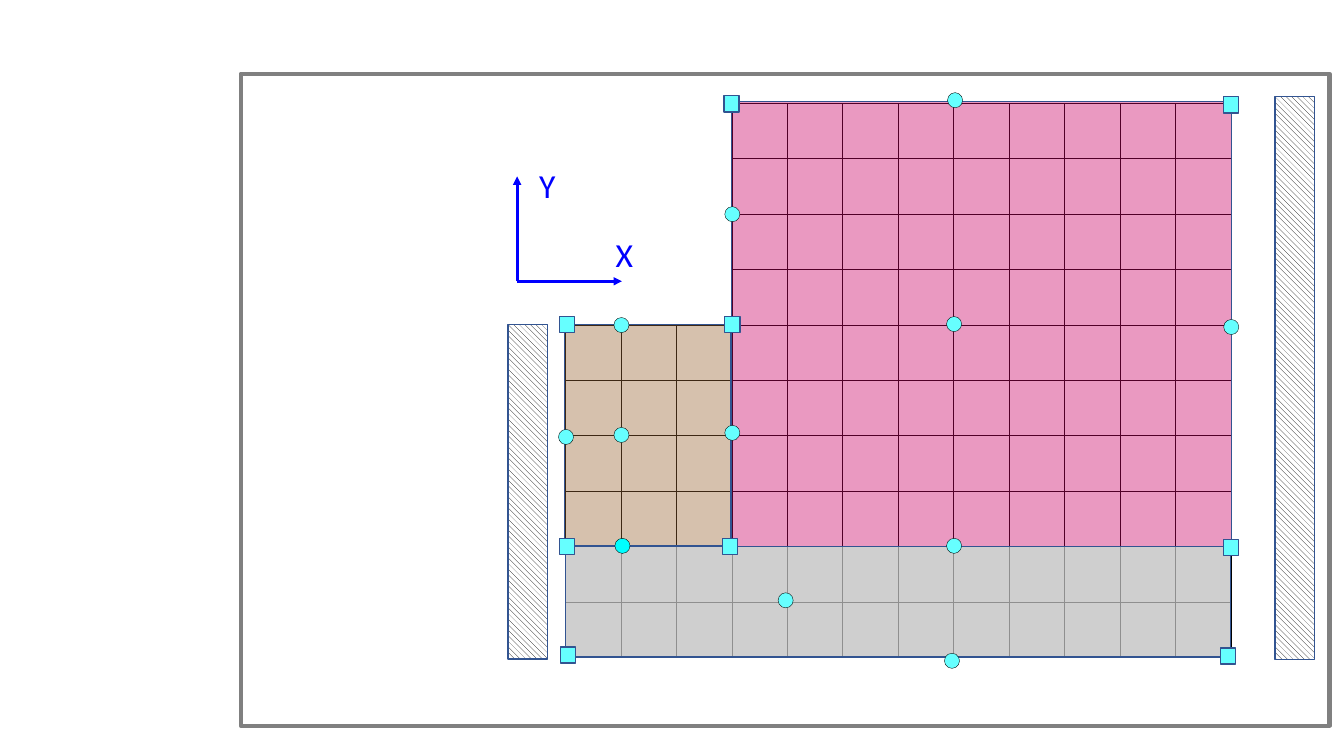
from lxml import etree
from pptx import Presentation
from pptx.dml.color import RGBColor
from pptx.enum.dml import MSO_PATTERN
from pptx.enum.shapes import MSO_CONNECTOR, MSO_SHAPE
from pptx.enum.text import MSO_AUTO_SIZE
from pptx.oxml.ns import qn
from pptx.util import Pt

RECTANGLE, OVAL = MSO_SHAPE.RECTANGLE, MSO_SHAPE.OVAL
STRAIGHT = MSO_CONNECTOR.STRAIGHT
HATCH = MSO_PATTERN.WIDE_DOWNWARD_DIAGONAL
FIT_TEXT = MSO_AUTO_SIZE.SHAPE_TO_FIT_TEXT

BLACK = RGBColor(0x00, 0x00, 0x00)
WHITE = RGBColor(0xFF, 0xFF, 0xFF)
NAVY = RGBColor(0x32, 0x54, 0x91)
BLUE = RGBColor(0x00, 0x00, 0xFF)
FRAME_GREY = RGBColor(0x80, 0x80, 0x80)
GREY = RGBColor(0xBF, 0xBF, 0xBF)
TAN = RGBColor(0x99, 0x66, 0x33)
PINK = RGBColor(0xCC, 0x00, 0x66)
PALE_CYAN = RGBColor(0x66, 0xFF, 0xFF)
CYAN = RGBColor(0x00, 0xFF, 0xFF)

CELL = 39.6
GRID_LEFT, GRID_TOP = 403.9, 73.6
AXIS_X, AXIS_Y, AXIS_LENGTH = 369.4, 200.9, 74.9
LABEL_FORMAT = {"name": "Calibri", "size": Pt(24)}

# First column, first row, columns, rows
GRIDS = [(0, 8, 12, 2), (0, 4, 3, 4), (3, 0, 9, 8)]
# Left, top, width, height, colour, opacity in percent
ZONES = [
    (404, 390.2, 475.2, 79.2, GREY, 75),
    (403.2, 231.8, 118.8, 158.4, TAN, 40),
    (522.7, 72.7, 357.1, 317.5, PINK, 40),
]
WALLS = [(362.9, 231.8, 28.1, 239), (910.8, 69.1, 28.1, 401.8)]
# Centres of the nodes
CORNER_NODES = [
    (522.4, 74.2), (879.5, 74.9), (405, 231.8), (523.1, 231.8), (405, 390.2),
    (521.6, 390.2), (879.5, 391), (405.7, 468), (877.3, 468.7),
]
ROUND_NODES = [
    (682.2, 71.6), (523.1, 153), (443.9, 232.2), (681.5, 231.5),
    (879.5, 233.6), (404.3, 312.1), (443.9, 310.7), (523.1, 309.2),
    (681.5, 389.9), (561.2, 428.8), (680, 472),
]
CYAN_NODE = (444.6, 389.9)


def add_box(shapes, kind, left, top, width, height, line, weight, fill=None):
    box = shapes.add_shape(kind, Pt(left), Pt(top), Pt(width), Pt(height))
    box.shadow.inherit = False
    box.line.color.rgb = line
    box.line.width = Pt(weight)
    if fill is None:
        box.fill.background()
    else:
        box.fill.solid()
        box.fill.fore_color.rgb = fill
    return box


def add_grid(slide, first_column, first_row, columns, rows):
    group = slide.shapes.add_group_shape()
    for row in range(first_row, first_row + rows):
        for column in range(first_column, first_column + columns):
            add_box(group.shapes, RECTANGLE, GRID_LEFT + column * CELL,
                    GRID_TOP + row * CELL, CELL, CELL, BLACK, 0.25)


def add_zone(slide, left, top, width, height, colour, opacity):
    zone = add_box(slide.shapes, RECTANGLE, left, top, width, height,
                   NAVY, 1, colour)
    fill_colour = zone.fill._xPr.find(qn("a:solidFill"))[0]
    alpha = etree.SubElement(fill_colour, qn("a:alpha"))
    alpha.set("val", str(opacity * 1000))


def add_wall(slide, left, top, width, height):
    wall = add_box(slide.shapes, RECTANGLE, left, top, width, height, NAVY, 1)
    wall.fill.patterned()
    wall.fill.pattern = HATCH
    wall.fill.fore_color.rgb = BLACK
    wall.fill.back_color.rgb = WHITE


def add_node(slide, centre, kind, height, line, weight, fill=PALE_CYAN):
    x, y = centre
    width = 10.8
    add_box(slide.shapes, kind, x - width / 2, y - height / 2, width, height,
            line, weight, fill)


def add_axis(shapes, end_x, end_y):
    axis = shapes.add_connector(STRAIGHT, Pt(AXIS_X), Pt(AXIS_Y),
                                Pt(end_x), Pt(end_y))
    axis.line.color.rgb = BLUE
    axis.line.width = Pt(2)
    arrowhead = etree.SubElement(axis.line._get_or_add_ln(), qn("a:tailEnd"))
    arrowhead.set("type", "triangle")
    etree.SubElement(axis._element.spPr, qn("a:effectLst"))


def add_label(shapes, text, left, top):
    box = shapes.add_textbox(Pt(left), Pt(top), Pt(27.4), Pt(36))
    frame = box.text_frame
    frame.word_wrap = False
    frame.auto_size = FIT_TEXT
    span = frame.paragraphs[0].add_run()
    span.text = text
    for name, value in LABEL_FORMAT.items():
        setattr(span.font, name, value)
    span.font.color.rgb = BLUE


def main():
    deck = Presentation()
    deck.slide_width, deck.slide_height = Pt(960), Pt(540)
    slide = deck.slides.add_slide(deck.slide_layouts[6])

    # Cells under the tinted zones
    for grid in GRIDS:
        add_grid(slide, *grid)
    for zone in ZONES:
        add_zone(slide, *zone)

    # Hatched walls
    for wall in WALLS:
        add_wall(slide, *wall)

    # Coordinate axes
    axes = slide.shapes.add_group_shape().shapes
    add_axis(axes, AXIS_X + AXIS_LENGTH, AXIS_Y)
    add_axis(axes, AXIS_X, AXIS_Y - AXIS_LENGTH)
    add_label(axes, "X", 432.7, 163.4)
    add_label(axes, "Y", 378, 114.5)

    # Nodes on the zones
    for centre in ROUND_NODES:
        add_node(slide, centre, OVAL, 10.8, BLACK, 0.25)
    add_node(slide, CYAN_NODE, OVAL, 10.8, BLACK, 0.25, CYAN)
    for centre in CORNER_NODES:
        add_node(slide, centre, RECTANGLE, 11.5, NAVY, 1)

    # Outer frame
    add_box(slide.shapes, RECTANGLE, 172.1, 52.6, 777.6, 465.8, FRAME_GREY, 3)

    deck.save("out.pptx")


if __name__ == "__main__":
    main()
